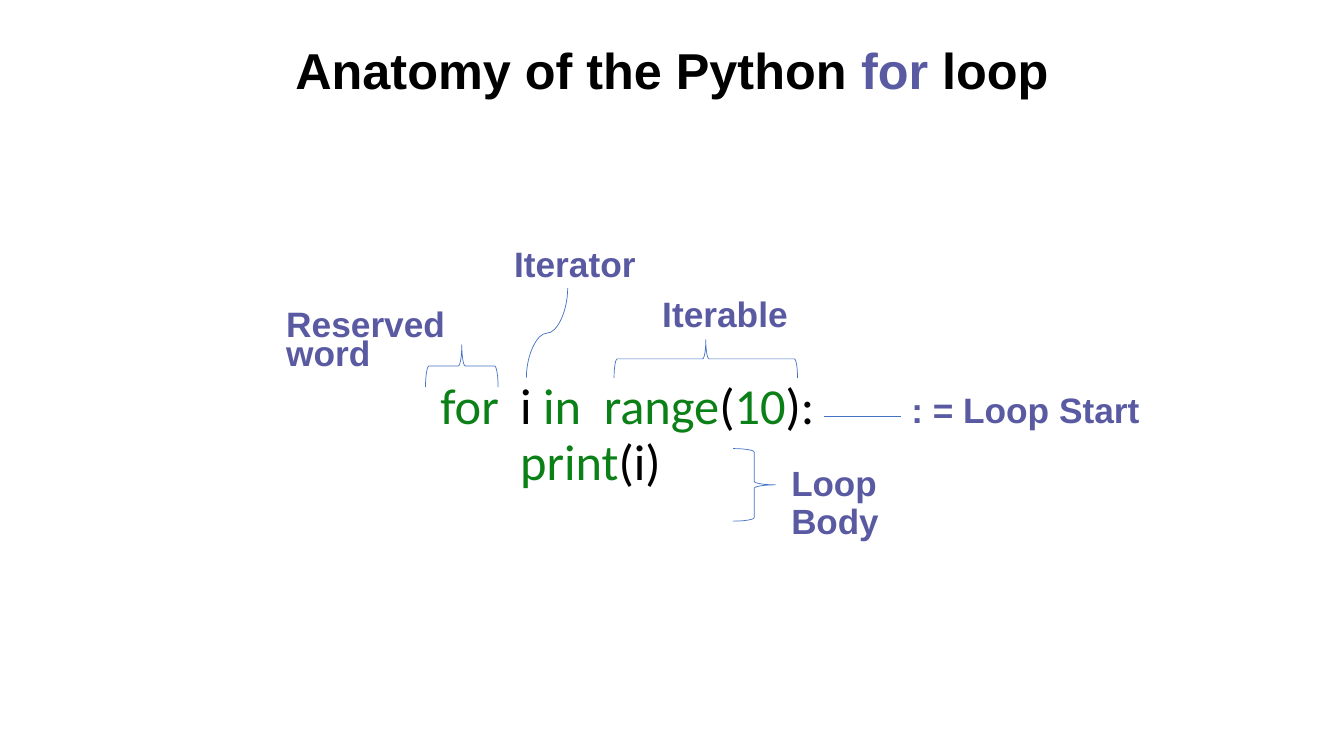
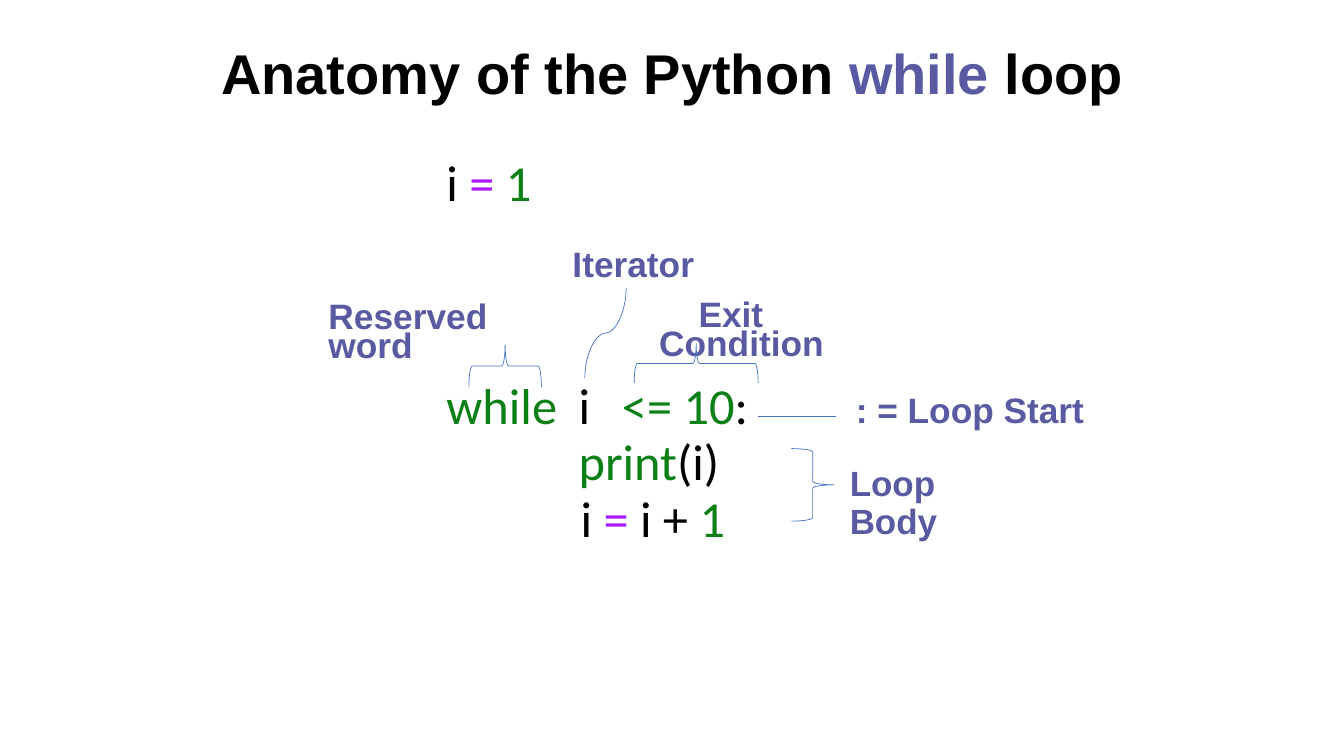
from dataclasses import dataclass

from lxml.etree import SubElement
from pptx import Presentation
from pptx.dml.color import RGBColor
from pptx.enum.shapes import MSO_CONNECTOR as Link, MSO_SHAPE as Shape
from pptx.enum.text import PP_ALIGN as Align
from pptx.oxml.ns import qn
from pptx.util import Inches, Pt


@dataclass(frozen=True)
class Theme:
    ink: str = "000000"
    accent: str = "5A5AA3"
    code: str = "0B8016"
    operator: str = "A719FF"
    line: str = "4472C4"
    head_font: str = "Arial"
    code_font: str = "Calibri"
    code_size: float = 36
    label_size: float = 25.2
    body_size: float = 25
    line_width: float = 0.5


THEME = Theme()
INK, ACCENT, CODE, OPERATOR = THEME.ink, THEME.accent, THEME.code, THEME.operator

# Content: code pieces are (left, top, width, runs); a brace is (left, top, width, height)
HEADER_TOP = 3.73
BODY_TOP = 4.29
PRINT = [("print", CODE), ("(i)", INK)]

LOOPS = [
    dict(
        keyword="for", title_size=36, iterator_left=5.06,
        code=[
            (4.27, HEADER_TOP, 0.83, [("for", CODE)]),
            (5.06, HEADER_TOP, 1, [("i ", INK), ("in", CODE)]),
            (5.89, HEADER_TOP, 2.44,
             [("range", CODE), ("(", INK), ("10", CODE), ("):", INK)]),
            (5.06, BODY_TOP, 2.44, PRINT),
        ],
        reserved_at=(2.74, 3.06), keyword_brace_left=4.37,
        source="Iterable", source_left=6.08, source_brace=(6.81, 2.65, 0.38, 1.82),
        start_line_left=8.17, start_label_left=8.94,
    ),
    dict(
        keyword="while", title_size=40, iterator_left=5.64,
        code=[
            (4.33, HEADER_TOP, 1.36, [("while", CODE)]),
            (5.64, HEADER_TOP, 0.41, [("i", INK)]),
            (6.07, HEADER_TOP, 2.44, [("<= 10", CODE), (":", INK)]),
            (5.64, BODY_TOP, 2.44, PRINT),
            (4.33, 1.52, 2.44, [("i ", INK), ("= ", OPERATOR), ("1", CODE)]),
            (5.66, 4.85, 2.44,
             [("i ", INK), ("=", OPERATOR), (" i + ", INK), ("1", CODE)]),
        ],
        reserved_at=(3.16, 2.98), keyword_brace_left=4.8,
        source="Exit Condition", source_left=6.44, source_brace=(6.71, 2.99, 0.39, 1.23),
        start_line_left=7.52, start_label_left=8.39,
    ),
]


# Drawing helpers
def add_text(page, runs, left, top, width, height, *, size, font, bold=False,
             spacing=0.9, align=Align.LEFT, indent=0):
    box = page.shapes.add_textbox(*map(Inches, (left, top, width, height)))
    box.text_frame.word_wrap = True
    para = box.text_frame.paragraphs[0]
    para.alignment = align
    para.line_spacing = spacing
    if indent:
        para._p.get_or_add_pPr().set("indent", str(Inches(indent)))
    for text, color in runs:
        span = para.add_run()
        span.text = text
        span.font.size = Pt(size)
        span.font.name = font
        span.font.bold = bold
        span.font.color.rgb = RGBColor.from_string(color)
    return box


def add_label(page, text, left, top, width, height=0.42, *,
              size=THEME.label_size, spacing=0.7, indent=0):
    return add_text(page, [(text, ACCENT)], left, top, width, height, size=size,
                    font=THEME.head_font, bold=True, spacing=spacing, indent=indent)


def style_line(shape):
    shape.line.color.rgb = RGBColor.from_string(THEME.line)
    shape.line.width = Pt(THEME.line_width)


def add_brace(page, left, top, width, height, rotation=0):
    brace = page.shapes.add_shape(
        Shape.RIGHT_BRACE, *map(Inches, (left, top, width, height)))
    brace.shadow.inherit = False
    brace.fill.background()
    brace.rotation = rotation
    style_line(brace)


def add_link(page, kind, start, end):
    link = page.shapes.add_connector(kind, *map(Inches, (*start, *end)))
    style_line(link)
    SubElement(link._element.spPr, qn("a:effectLst"))
    return link


def add_iterator_curve(page, left, top, width, height):
    curve = add_link(page, Link.CURVE, (left + width, top + height), (left, top))
    # A quarter turn makes the curve leave and arrive vertically
    curve._element.spPr.find(qn("a:xfrm")).set("rot", str(90 * 60000))


def build_loop(deck, loop):
    page = deck.slides.add_slide(deck.slide_layouts[6])
    iterator = loop["iterator_left"]

    # Title
    title = [("Anatomy of the Python ", INK), (loop["keyword"], ACCENT), (" loop", INK)]
    add_text(page, title, 0, 0.41, 13.33, 0.72, size=loop["title_size"],
             font=THEME.head_font, bold=True, align=Align.CENTER)

    # Code
    for left, top, width, runs in loop["code"]:
        add_text(page, runs, left, top, width, 0.72,
                 size=THEME.code_size, font=THEME.code_font)

    # Labels
    add_label(page, "Reserved word", *loop["reserved_at"], 2.53)
    add_label(page, "Iterator", iterator - 0.06, 2.47, 1.47)
    add_label(page, loop["source"], loop["source_left"], 2.96, 2.86, indent=0.39)
    add_label(page, "Loop Body", iterator + 2.69, 4.58, 1.96, 0.51,
              size=THEME.body_size, spacing=0.9)
    start_label = add_label(page, ": = Loop Start", loop["start_label_left"], 3.92, 2.86)

    # Braces and lines
    add_brace(page, iterator + 2.21, 4.45, 0.42, 0.72)
    add_brace(page, loop["keyword_brace_left"], 3.27, 0.42, 0.72, rotation=270)
    add_brace(page, *loop["source_brace"], rotation=270)
    add_iterator_curve(page, iterator - 0.08, 3.1, 0.89, 0.41)
    line_left = loop["start_line_left"]
    line_right = round(line_left + 0.77, 2)
    start_line = add_link(page, Link.STRAIGHT, (line_left, 4.13), (line_right, 4.13))
    if line_right == loop["start_label_left"]:
        start_line.end_connect(start_label, 1)


def main():
    deck = Presentation()
    deck.slide_width, deck.slide_height = Inches(13.33), Inches(7.5)
    for loop in LOOPS:
        build_loop(deck, loop)
    deck.save("out.pptx")


if __name__ == "__main__":
    main()
